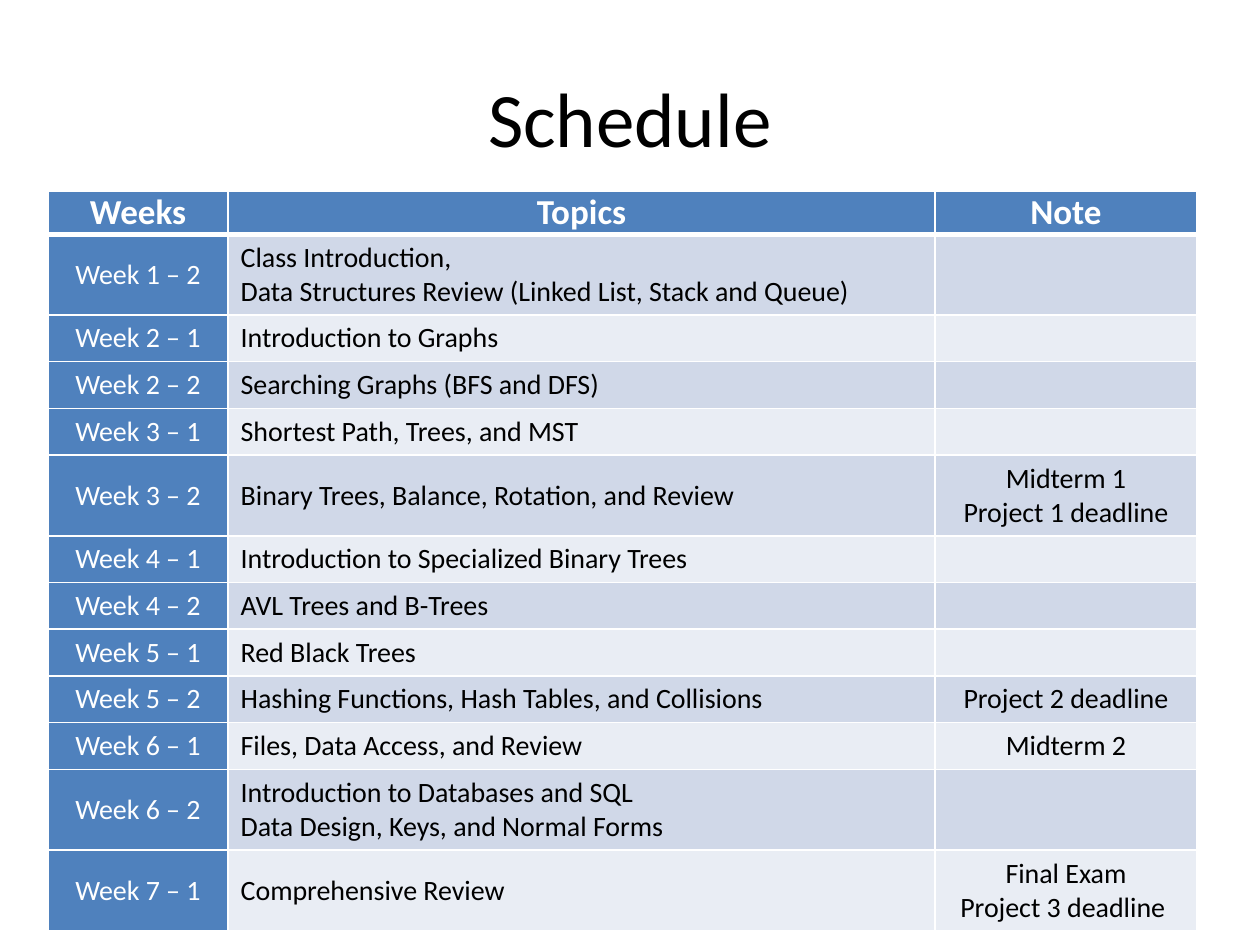
from dataclasses import dataclass

import pptx
import pptx.dml.color
import pptx.enum.text
import pptx.oxml.ns
import pptx.util
from lxml import etree

Pt = pptx.util.Pt
RGB = pptx.dml.color.RGBColor.from_string
Align = pptx.enum.text.PP_ALIGN
Anchor = pptx.enum.text.MSO_ANCHOR


@dataclass(frozen=True)
class Theme:
    font: str = "Calibri"
    title_size: int = 44
    header_size: int = 20
    body_size: int = 16
    ink: str = "000000"
    white: str = "FFFFFF"
    accent: str = "4F81BD"
    bands: tuple[str, str] = ("D0D8E8", "E9EDF4")
    rule: int = 1
    header_rule: int = 3


@dataclass(frozen=True)
class Session:
    week: str
    topics: str
    note: str = ""

    @property
    def height(self) -> float:
        """One or two lines of body text plus the cell margins."""
        return 46.2 if "\n" in self.topics + self.note else 26.7


@dataclass(frozen=True)
class CellStyle:
    fill: str
    color: str
    size: int
    align: Align
    bold: bool = False
    anchor: Anchor = Anchor.MIDDLE
    margin: float = 3.6
    top_rule: int = 1
    bottom_rule: int = 1


THEME = Theme()
HEADINGS = ("Weeks", "Topics", "Note")
COLUMN_WIDTHS = (103, 404, 149.6)
HEADER_HEIGHT = 24.4
SESSIONS = (
    Session("Week 1 – 2", "Class Introduction,\n"
            "Data Structures Review (Linked List, Stack and Queue)"),
    Session("Week 2 – 1", "Introduction to Graphs"),
    Session("Week 2 – 2", "Searching Graphs (BFS and DFS)"),
    Session("Week 3 – 1", "Shortest Path, Trees, and MST"),
    Session("Week 3 – 2", "Binary Trees, Balance, Rotation, and Review",
            "Midterm 1\nProject 1 deadline"),
    Session("Week 4 – 1", "Introduction to Specialized Binary Trees"),
    Session("Week 4 – 2", "AVL Trees and B-Trees"),
    Session("Week 5 – 1", "Red Black Trees"),
    Session("Week 5 – 2", "Hashing Functions, Hash Tables, and Collisions",
            "Project 2 deadline"),
    Session("Week 6 – 1", "Files, Data Access, and Review", "Midterm 2"),
    Session("Week 6 – 2", "Introduction to Databases and SQL\n"
            "Data Design, Keys, and Normal Forms"),
    Session("Week 7 – 1", "Comprehensive Review", "Final Exam\nProject 3 deadline "),
)


def set_font(font, size: int, color: str, bold: bool = False) -> None:
    font.name = THEME.font
    font.size = Pt(size)
    font.bold = bold
    font.color.rgb = RGB(color)


def add_borders(cell, style: CellStyle) -> None:
    widths = {"lnL": THEME.rule, "lnR": THEME.rule,
              "lnT": style.top_rule, "lnB": style.bottom_rule}
    properties = cell._tc.get_or_add_tcPr()
    qn = pptx.oxml.ns.qn
    for side, width in widths.items():
        line = etree.SubElement(properties, qn(f"a:{side}"), w=str(int(Pt(width))))
        fill = etree.SubElement(line, qn("a:solidFill"))
        etree.SubElement(fill, qn("a:srgbClr"), val=THEME.white)


def fill_cell(cell, text: str, style: CellStyle) -> None:
    add_borders(cell, style)
    cell.fill.solid()
    cell.fill.fore_color.rgb = RGB(style.fill)
    cell.vertical_anchor = style.anchor
    cell.margin_left = cell.margin_right = Pt(7.2 if style.margin else 5)
    cell.margin_top = cell.margin_bottom = Pt(style.margin)
    cell.text = text
    for para in cell.text_frame.paragraphs:
        para.alignment = style.align
        set_font(para.font, style.size, style.color, style.bold)
        if not para.runs:
            # Keeps an empty cell from stretching its row
            end = para._p.get_or_add_endParaRPr()
            end.set("sz", str(style.size * 100))


def add_title(page, text: str) -> None:
    box = page.shapes.add_textbox(Pt(36), Pt(21.6), Pt(648), Pt(90))
    frame = box.text_frame
    frame.word_wrap = True
    frame.vertical_anchor = Anchor.MIDDLE
    para = frame.paragraphs[0]
    para.text = text
    para.alignment = Align.CENTER
    set_font(para.font, THEME.title_size, THEME.ink)


def add_schedule(page) -> None:
    heights = [HEADER_HEIGHT] + [session.height for session in SESSIONS]
    table = page.shapes.add_table(
        len(heights), len(HEADINGS), Pt(27.36), Pt(109.44),
        Pt(sum(COLUMN_WIDTHS)), Pt(sum(heights))).table
    table.horz_banding = False
    for column, width in zip(table.columns, COLUMN_WIDTHS):
        column.width = Pt(width)
    for row, height in zip(table.rows, heights):
        row.height = Pt(height)

    # Header row
    header = CellStyle(THEME.accent, THEME.white, THEME.header_size, Align.CENTER,
                       bold=True, anchor=Anchor.TOP, margin=0,
                       bottom_rule=THEME.header_rule)
    for column, heading in enumerate(HEADINGS):
        fill_cell(table.cell(0, column), heading, header)

    # One banded row per session
    for row, session in enumerate(SESSIONS, start=1):
        band = THEME.bands[(row - 1) % 2]
        top = THEME.header_rule if row == 1 else THEME.rule
        columns = (
            (session.week, THEME.accent, THEME.white, Align.CENTER),
            (session.topics, band, THEME.ink, Align.LEFT),
            (session.note, band, THEME.ink, Align.CENTER),
        )
        for column, (text, fill, color, align) in enumerate(columns):
            style = CellStyle(fill, color, THEME.body_size, align, top_rule=top)
            fill_cell(table.cell(row, column), text, style)


def main() -> None:
    deck = pptx.Presentation()
    deck.slide_width, deck.slide_height = Pt(720), Pt(540)
    page = deck.slides.add_slide(deck.slide_layouts[6])
    add_title(page, "Schedule")
    add_schedule(page)
    deck.save("out.pptx")


if __name__ == "__main__":
    main()
